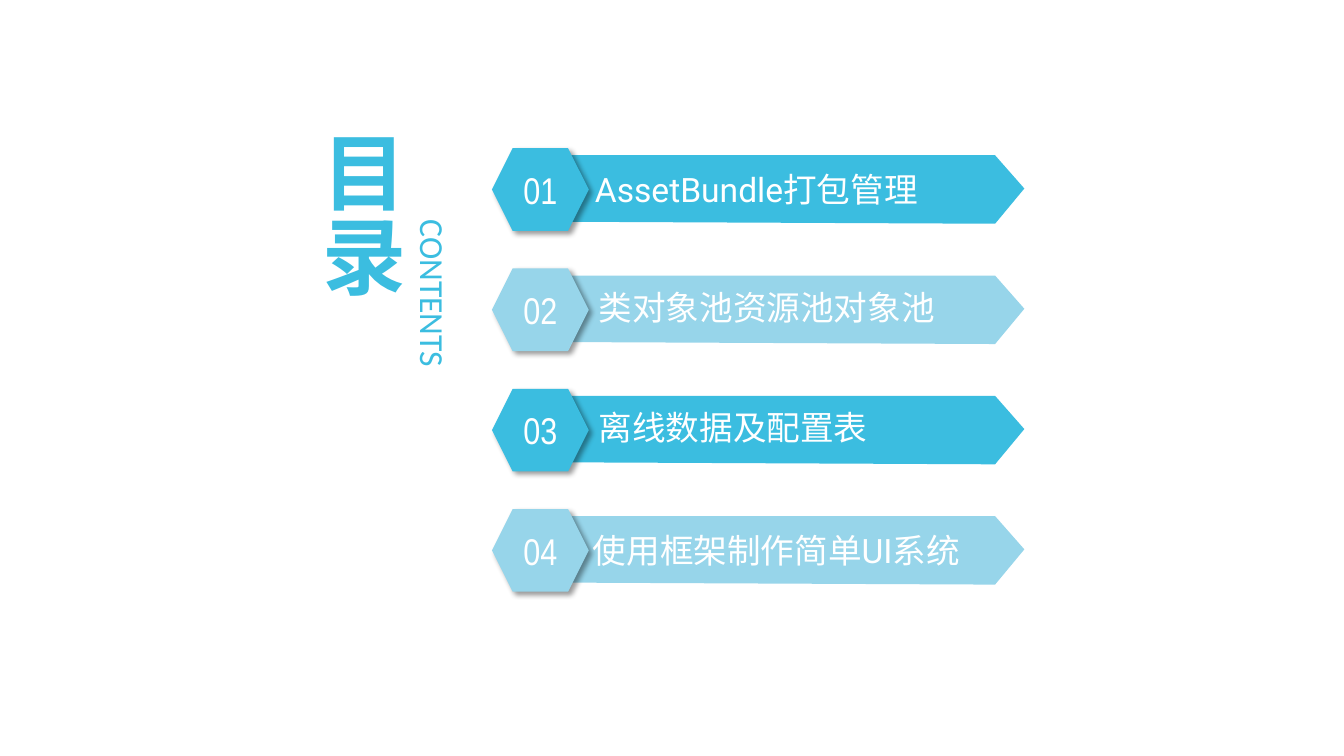
from lxml import etree
from pptx import Presentation
from pptx.dml.color import RGBColor
from pptx.enum.shapes import MSO_SHAPE
from pptx.enum.text import MSO_ANCHOR, MSO_AUTO_SIZE, PP_ALIGN
from pptx.oxml.ns import qn
from pptx.util import Inches, Pt

HEX = MSO_SHAPE.HEXAGON
MIDDLE, TOP = MSO_ANCHOR.MIDDLE, MSO_ANCHOR.TOP
LEFT, CENTER = PP_ALIGN.LEFT, PP_ALIGN.CENTER
FIT = MSO_AUTO_SIZE.SHAPE_TO_FIT_TEXT
BLUE, PALE, WHITE = "3BBDE0", "97D5EA", "FFFFFF"


def paint(fill, color):
    fill.solid()
    fill.fore_color.rgb = RGBColor.from_string(color)


def style(run, size, face, color):
    run.font.size = Pt(size)
    run.font.name = face
    paint(run.font.fill, color)
    east = etree.SubElement(run.font._element, qn("a:ea"))
    east.set("typeface", face)


deck = Presentation()
deck.slide_width, deck.slide_height = Inches(13.33), Inches(7.5)
slide = deck.slides.add_slide(deck.slide_layouts[5])
shapes = slide.shapes

# Vertical title and subtitle
title = shapes.title
title.left, title.top = Inches(2.98), Inches(1.25)
title.width, title.height = Inches(1.21), Inches(4.77)
sub = shapes.add_textbox(Inches(3.94), Inches(2.08), Inches(0.61), Inches(3.17))
for box, text, size, face, bold in (
    (title, "目录", 60, "Noto Sans CJK SC", True),
    (sub, "CONTENTS", 24, "Calibri", False),
):
    frame = box.text_frame
    frame.text = text
    frame.word_wrap = True
    frame.auto_size = FIT
    frame.vertical_anchor = TOP
    frame._txBody.bodyPr.set("vert", "eaVert")
    para = frame.paragraphs[0]
    para.alignment = LEFT
    style(para.runs[0], size, face, BLUE)
    para.runs[0].font.bold = bold

# Agenda rows: text pieces with fonts, left inset, width of a separate label
rows = (
    ([("AssetBundle", "Roboto"), ("打包管理", "Karla")], 0.27, None),
    ([("类对象池资源池对象池", "Karla")], 0.1, 3.53),
    ([("离线数据及配置表", "Karla")], 0.1, 2.87),
    ([("使用", "Arial"), ("框架制作简单UI系统", "Roboto")], 0.25, None),
)
for i, (parts, inset, width) in enumerate(rows):
    y = 1.54 + 3.58 * i / 3
    color = PALE if i % 2 else BLUE

    # Arrow bar
    pen = shapes.build_freeform(Inches(5.63), Inches(y))
    edge = ((9.87, 0), (10.16, 0.33), (9.87, 0.68), (5.63, 0.66))
    pen.add_line_segments([(Inches(x), Inches(y + dy)) for x, dy in edge])
    bar = pen.convert_to_shape()

    # Numbered hexagon
    badge = shapes.add_shape(HEX, Inches(4.88), Inches(y - 0.07), Inches(0.96), Inches(0.82))
    for shape in (bar, badge):
        paint(shape.fill, color)
        shape.line.fill.background()
        shape.shadow.inherit = False
    effects = badge._element.spPr.find(qn("a:effectLst"))
    shade = etree.SubElement(effects, qn("a:outerShdw"), blurRad=str(Pt(4)),
                             dist=str(Pt(3)), dir="2700000", algn="tl", rotWithShape="0")
    black = etree.SubElement(shade, qn("a:srgbClr"), val="000000")
    etree.SubElement(black, qn("a:alpha"), val="40000")
    frame = badge.text_frame
    frame.text = f"{i + 1:02}"
    frame.margin_left = frame.margin_right = 0
    frame.vertical_anchor = MIDDLE
    frame.paragraphs[0].alignment = CENTER
    style(frame.paragraphs[0].runs[0], 26.6, "Arial Narrow", WHITE)

    # Label, in the bar or in its own box
    if width:
        box = shapes.add_textbox(Inches(5.84), Inches(y + 0.06), Inches(width), Inches(0.5))
        frame = box.text_frame
        frame.auto_size = FIT
    else:
        frame = bar.text_frame
        frame.vertical_anchor = MIDDLE
    frame.word_wrap = not width
    frame.margin_left = Inches(inset)
    para = frame.paragraphs[0]
    para.alignment = LEFT
    for text, face in parts:
        run = para.add_run()
        run.text = text
        style(run, 24, face, WHITE)

deck.save("out.pptx")
